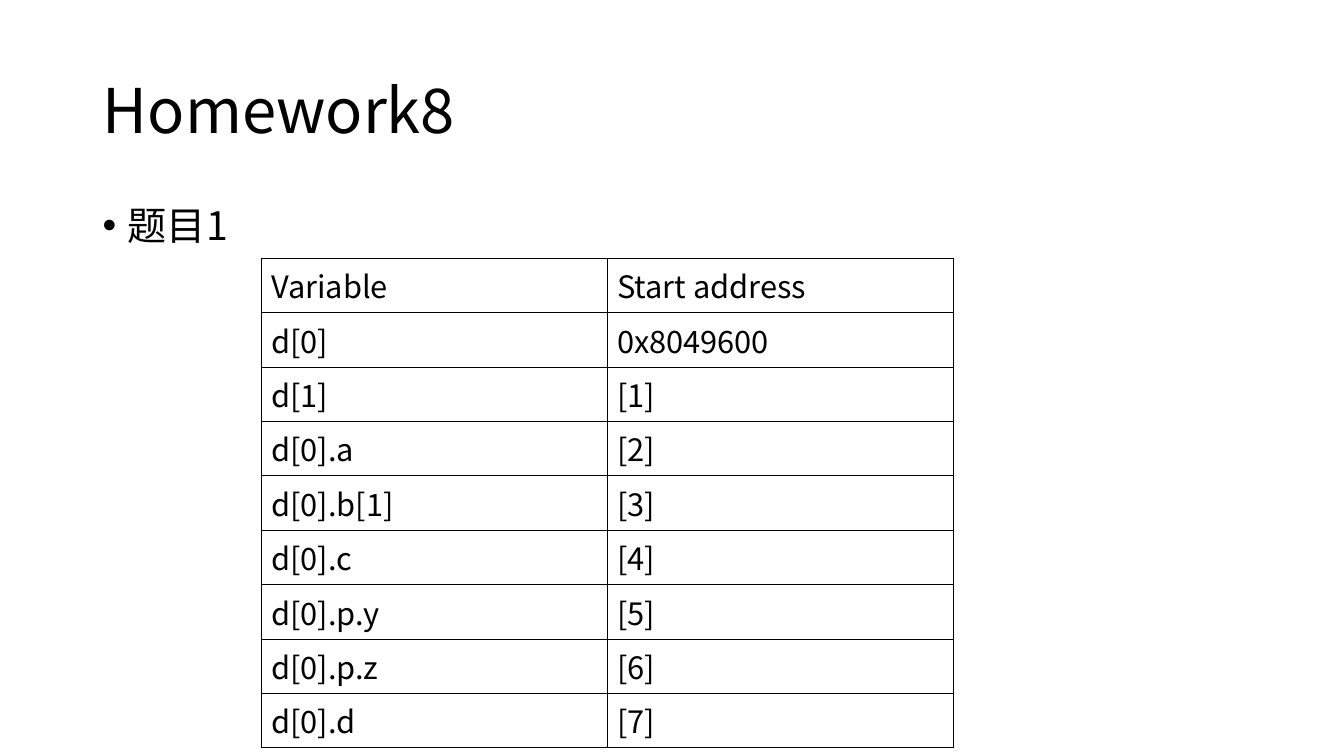
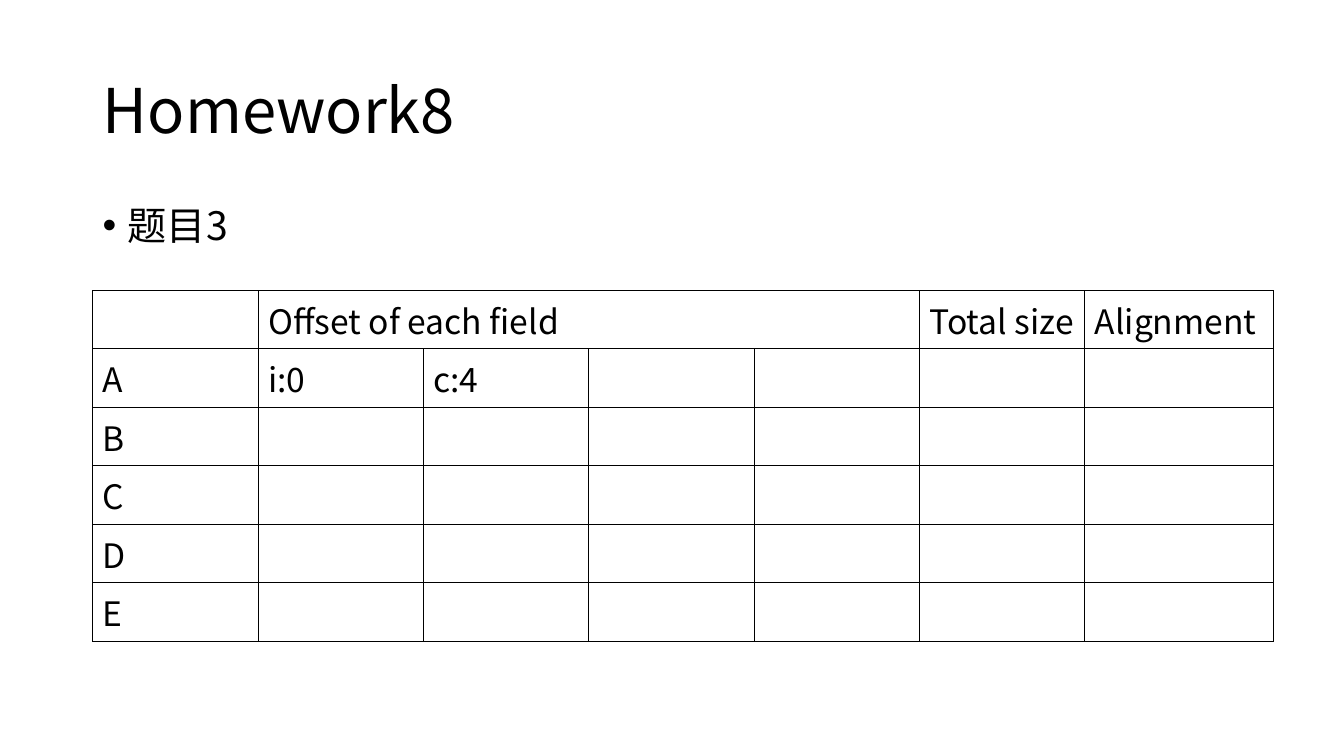
from lxml import etree
from pptx import Presentation
from pptx.dml.color import RGBColor
from pptx.enum import text
from pptx.oxml import ns
from pptx.util import Inches, Pt

FONT = "Noto Sans CJK SC"
BLACK = "000000"
WHITE = "FFFFFF"
LEFT, WIDTH = 0.92, 11.5
BORDER = Pt(0.48)


def color(value):
    return RGBColor.from_string(value)


def sub(parent, tag, **attributes):
    return etree.SubElement(parent, ns.qn(tag), attributes)


def style(p, size):
    """Give a paragraph the deck's font, for Latin and Chinese text."""
    p.font.size = Pt(size)
    p.font.name = FONT
    p.font.color.rgb = color(BLACK)
    for r in p.runs:
        sub(r._r.get_or_add_rPr(), "a:ea", typeface=FONT)


def add_title(s, title):
    sp = s.shapes.title
    sp.left, sp.top = Inches(LEFT), Inches(0.4)
    sp.width, sp.height = Inches(WIDTH), Inches(1.45)
    tf = sp.text_frame
    tf.text = title
    tf.vertical_anchor = text.MSO_ANCHOR.MIDDLE
    p = tf.paragraphs[0]
    p.alignment = text.PP_ALIGN.LEFT
    p.line_spacing = 0.9
    style(p, 44)


def add_bullet(s, label):
    sp = s.shapes.add_textbox(Inches(LEFT), Inches(2), Inches(WIDTH), Inches(0.6))
    tf = sp.text_frame
    tf.word_wrap = True
    p = tf.paragraphs[0]
    p.text = label
    p.line_spacing = 0.9
    pPr = p._p.get_or_add_pPr()
    pPr.set("marL", str(Inches(0.25)))
    pPr.set("indent", str(-Inches(0.25)))
    sub(pPr, "a:buFont", typeface="Arial")
    sub(pPr, "a:buChar", char="•")
    style(p, 28)


def format_cell(cell, size):
    # Borders come before the fill in the cell properties
    tcPr = cell._tc.get_or_add_tcPr()
    for side in ("a:lnL", "a:lnR", "a:lnT", "a:lnB"):
        fill = sub(sub(tcPr, side, w=str(BORDER)), "a:solidFill")
        sub(fill, "a:srgbClr", val=BLACK)
    cell.fill.background()
    cell.vertical_anchor = text.MSO_ANCHOR.MIDDLE
    cell.margin_right = Inches(0.05)
    style(cell.text_frame.paragraphs[0], size)


def add_grid(s, left, top, widths, row_height, rows, size):
    """Add a plain ruled table; short rows end in empty cells."""
    frame = s.shapes.add_table(len(rows), len(widths), Inches(left), Inches(top),
                               Inches(sum(widths)), Inches(row_height * len(rows)))
    table = frame.table
    table.first_row = table.horz_banding = False
    for column, width in zip(table.columns, widths):
        column.width = Inches(width)
    for i, row in enumerate(rows):
        table.rows[i].height = Inches(row_height)
        for j in range(len(widths)):
            cell = table.cell(i, j)
            if j < len(row) and row[j]:
                cell.text = row[j]
            format_cell(cell, size)
    return table


def add_question(prs, label):
    s = prs.slides.add_slide(prs.slide_layouts[5])
    add_title(s, "Homework8")
    add_bullet(s, label)
    return s


def main():
    prs = Presentation()
    prs.slide_width, prs.slide_height = Inches(13.33), Inches(7.5)
    background = prs.slide_master.background.fill
    background.solid()
    background.fore_color.rgb = color(WHITE)

    # Question 1: addresses, the unknown ones numbered
    s = add_question(prs, "题目1")
    unknowns = ["d[1]", "d[0].a", "d[0].b[1]", "d[0].c",
                "d[0].p.y", "d[0].p.z", "d[0].d"]
    rows = [("Variable", "Start address"), ("d[0]", "0x8049600")]
    rows += [(name, f"[{n}]") for n, name in enumerate(unknowns, 1)]
    add_grid(s, 2.59, 2.56, [3.43] * 2, 0.54, rows, 22)

    # Question 3: structure layout
    s = add_question(prs, "题目3")
    rows = [("", "Offset of each field", "", "", "", "Total size", "Alignment"),
            ("A", "i:0", "c:4"), *"BCDE"]
    table = add_grid(s, LEFT, 2.88, [1.64] * 6 + [1.87], 0.58, rows, 24)
    table.cell(0, 1).merge(table.cell(0, 4))

    prs.save("out.pptx")


if __name__ == "__main__":
    main()
